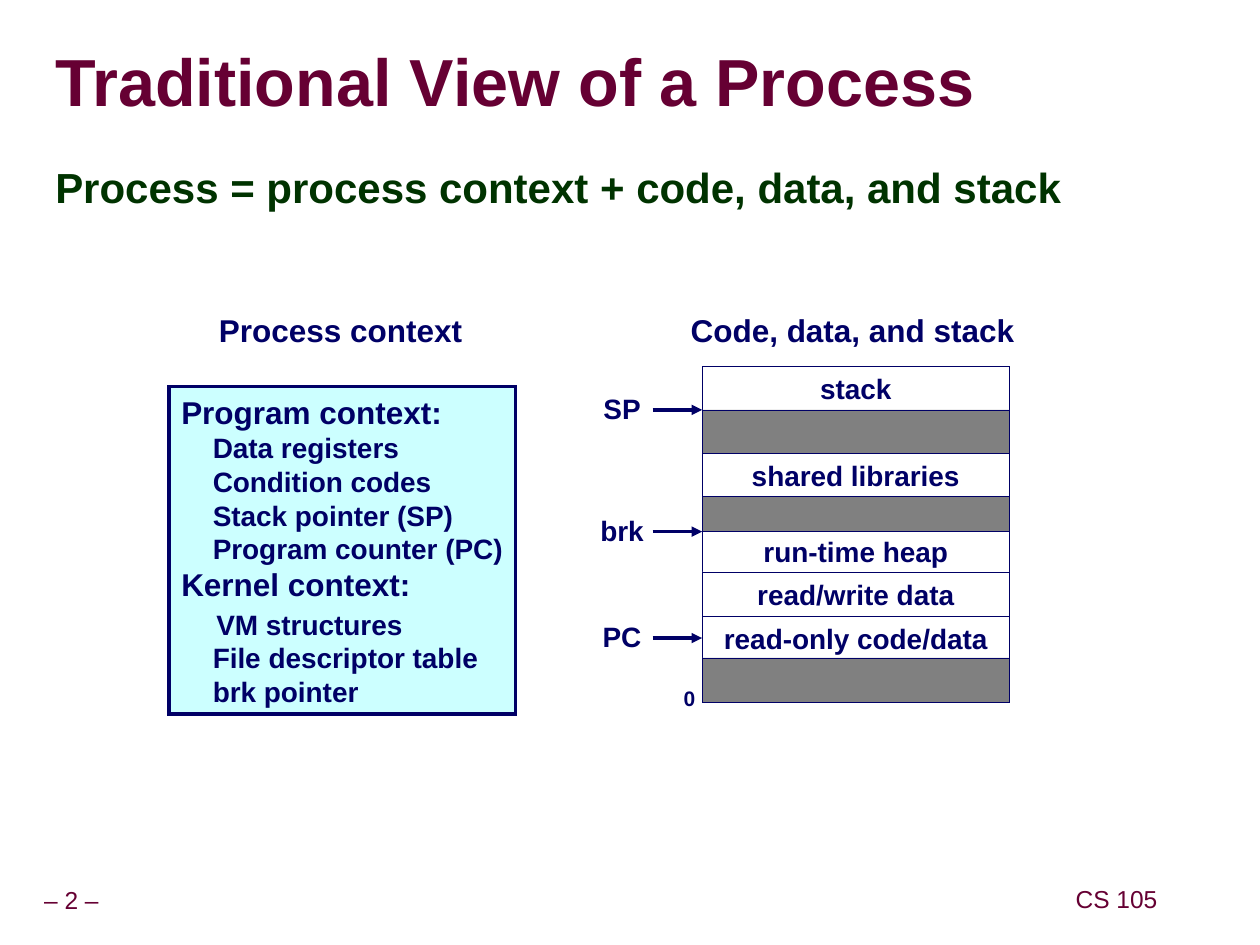
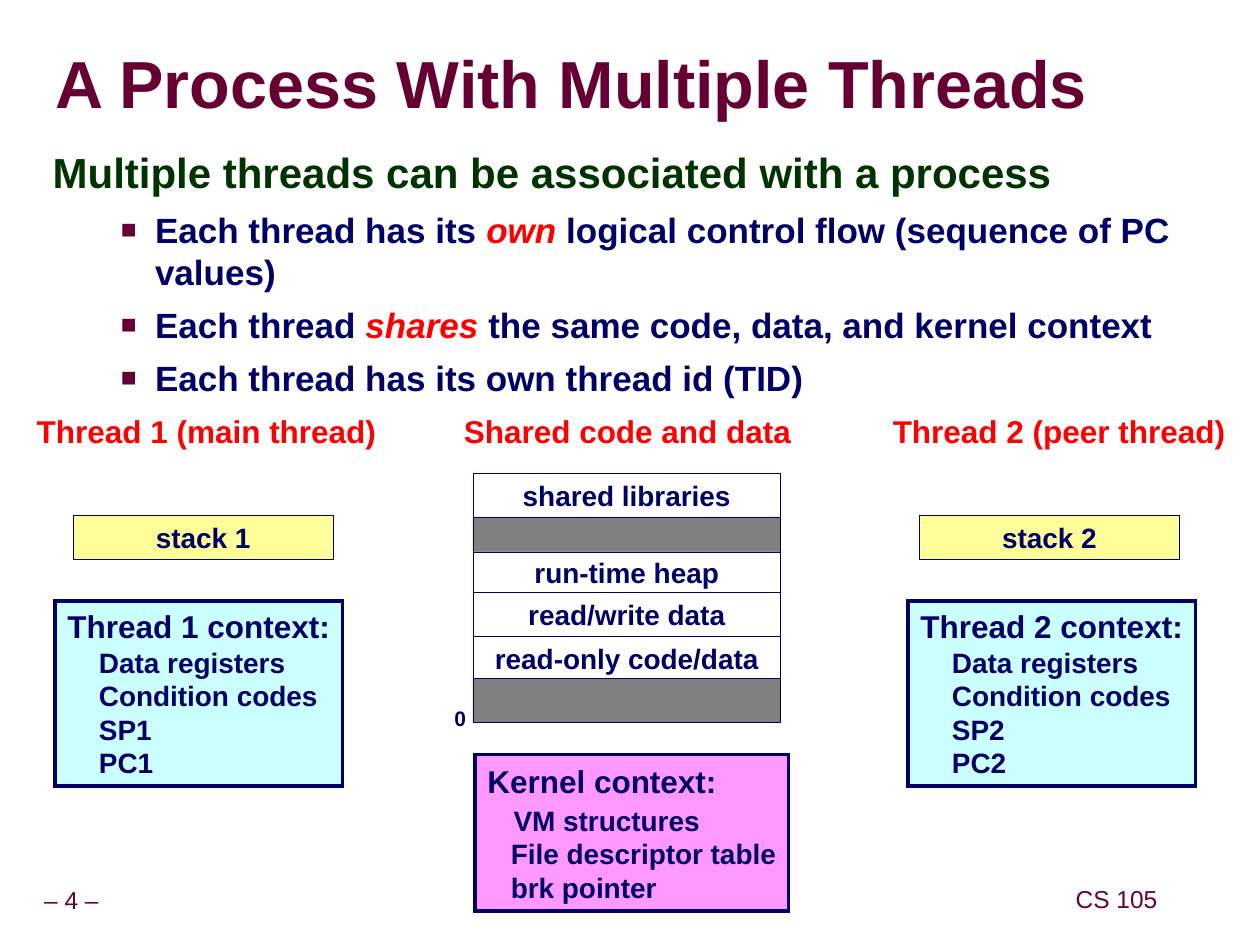
from dataclasses import dataclass
from typing import NamedTuple

from lxml import etree
from pptx import Presentation
from pptx.dml.color import RGBColor
from pptx.enum.shapes import MSO_CONNECTOR, MSO_SHAPE
from pptx.enum.text import MSO_ANCHOR as Anchor, PP_ALIGN as Align
from pptx.oxml.ns import qn
from pptx.util import Pt

COLOURS = {
    "maroon": "660033",
    "green": "003300",
    "navy": "000066",
    "red": "FF0000",
    "white": "FFFFFF",
    "gray": "808080",
    "cyan": "CCFFFF",
    "yellow": "FFFF99",
    "pink": "FF99FF",
}
FONT = "Arial"


class Box(NamedTuple):
    left: float
    top: float
    width: float
    height: float

    def in_points(self) -> tuple:
        return tuple(Pt(length) for length in self)


class Style(NamedTuple):
    size: float
    colour: str = "navy"
    bold: bool = True


TITLE = Style(38, "maroon")
STATEMENT = Style(24, "green")
BULLET = Style(20)
HEADING = Style(18)
RED_HEADING = Style(18, "red")
ITEM = Style(16)
SMALL = Style(12)
FOOTER = Style(14, "maroon", False)


@dataclass
class Segment:
    """One region of memory; an empty label means unused space."""
    label: str
    height: float
    overlap: float = 0


@dataclass
class ContextGroup:
    heading: str
    items: list[str]
    indent: float = 18
    first_indent: float = 18
    first_gap: float = 0


@dataclass
class Thread:
    number: int
    role: str
    heading_left: float
    stack_left: float
    context_left: float


STACK_AREA = [Segment("stack", 24.8), Segment("", 24.8)]
SHARED_AREA = [
    Segment("shared libraries", 24.8),
    Segment("", 20),
    Segment("run-time heap", 23),
    Segment("read/write data", 25.2),
    Segment("read-only code/data", 25.2, overlap=1.2),
    Segment("", 25.2),
]
MAP_WIDTH = 175.7
KERNEL_ITEMS = ["VM structures", "File descriptor table", "brk pointer"]
THREADS = [
    Thread(1, "main", 13, 41.8, 31.5),
    Thread(2, "peer", 500.2, 525.4, 518.9),
]
THREAD_FACTS = [
    ("Each thread has its ", "own", " logical control flow (sequence of PC values)"),
    ("Each thread ", "shares", " the same code, data, and kernel context"),
    ("Each thread has its own thread id (TID)", "", ""),
]


def rgb(colour: str) -> RGBColor:
    return RGBColor.from_string(COLOURS[colour])


def set_font(paragraph, style: Style) -> None:
    font = paragraph.font
    font.name = FONT
    font.size = Pt(style.size)
    font.bold = style.bold
    font.color.rgb = rgb(style.colour)


def set_indent(paragraph, left: float, first: float = 0) -> None:
    properties = paragraph._p.get_or_add_pPr()
    properties.set("marL", str(Pt(left)))
    properties.set("indent", str(Pt(first)))


def add_bullet_mark(paragraph) -> None:
    properties = paragraph._p.get_or_add_pPr()
    mark_colour = etree.SubElement(properties, qn("a:buClr"))
    etree.SubElement(mark_colour, qn("a:srgbClr"), val=COLOURS["maroon"])
    etree.SubElement(properties, qn("a:buSzPct"), val="75000")
    etree.SubElement(properties, qn("a:buFont"), typeface=FONT)
    etree.SubElement(properties, qn("a:buChar"), char="■")


def set_margins(frame, horizontal: float, vertical: float) -> None:
    frame.margin_left = frame.margin_right = Pt(horizontal)
    frame.margin_top = frame.margin_bottom = Pt(vertical)


def add_text(slide, box: Box, text: str, style: Style, align=Align.CENTER,
             anchor=Anchor.MIDDLE, margins=(7.2, 3.6), spacing=1.0, wrap=False):
    frame = slide.shapes.add_textbox(*box.in_points()).text_frame
    frame.word_wrap = wrap
    frame.vertical_anchor = anchor
    set_margins(frame, *margins)
    paragraph = frame.paragraphs[0]
    paragraph.text = text
    paragraph.alignment = align
    paragraph.line_spacing = spacing
    set_font(paragraph, style)
    return frame


def draw_line(shape, width: float) -> etree._Element:
    """Give a shape or connector a navy line and return its XML element."""
    shape.line.color.rgb = rgb("navy")
    shape.line.width = Pt(width)
    line = shape._element.spPr.find(qn("a:ln"))
    etree.SubElement(line, qn("a:miter"), lim="800000")
    return line


def add_block(slide, box: Box, fill: str, line_width: float = 0.25, label: str = ""):
    block = slide.shapes.add_shape(MSO_SHAPE.RECTANGLE, *box.in_points())
    block.shadow.inherit = False
    block.fill.solid()
    block.fill.fore_color.rgb = rgb(fill)
    draw_line(block, line_width)
    frame = block.text_frame
    frame.word_wrap = False
    frame.vertical_anchor = Anchor.MIDDLE
    set_margins(frame, 7.2, 3.6)
    if label:
        frame.text = label
        frame.paragraphs[0].alignment = Align.CENTER
        set_font(frame.paragraphs[0], ITEM)
    return block


def add_context(slide, box: Box, fill: str, groups: list[ContextGroup]) -> None:
    frame = add_block(slide, box, fill, line_width=2).text_frame

    def add_line(text: str, style: Style, indent: float, gap: float) -> None:
        first = frame.paragraphs[0]
        paragraph = frame.add_paragraph() if first.runs else first
        paragraph.text = text
        paragraph.alignment = Align.LEFT
        set_indent(paragraph, indent)
        if gap:
            paragraph.space_before = Pt(gap)
        set_font(paragraph, style)

    for group in groups:
        add_line(group.heading, HEADING, 0, 0)
        for index, item in enumerate(group.items):
            if index == 0:
                add_line(item, ITEM, group.first_indent, group.first_gap)
            else:
                add_line(item, ITEM, group.indent, 0)


def add_memory_map(slide, left: float, top: float, segments: list[Segment]) -> dict:
    """Stack the segments downwards and return the labelled blocks by label."""
    blocks = {}
    for segment in segments:
        box = Box(left, top, MAP_WIDTH, segment.height)
        fill = "white" if segment.label else "gray"
        block = add_block(slide, box, fill, label=segment.label)
        if segment.label:
            blocks[segment.label] = block
        top += segment.height - segment.overlap
    add_text(slide, Box(left - 17.7, top - 13.1, 21, 21.6), "0", SMALL,
             align=Align.LEFT, anchor=Anchor.TOP)
    return blocks


def add_pointer(slide, label: str, y: float, target=None) -> None:
    """Draw a register name and its arrow, joined to the target if there is one."""
    add_text(slide, Box(330.5, y - 14, 50, 26.6), label, ITEM)
    arrow = slide.shapes.add_connector(
        MSO_CONNECTOR.STRAIGHT, Pt(373), Pt(y), Pt(401.2), Pt(y))
    if target is not None:
        arrow.end_connect(target, 1)
    line = draw_line(arrow, 2)
    etree.SubElement(line, qn("a:tailEnd"), type="triangle")
    etree.SubElement(arrow._element.spPr, qn("a:effectLst"))


def start_slide(deck, number: int, title: str, title_height: float):
    slide = deck.slides.add_slide(deck.slide_layouts[6])
    footers = [(Box(0, 504, 81.6, 22.3), f"– {number} –"),
               (Box(603, 503.3, 70, 22.3), "CS 105")]
    for box, text in footers:
        add_text(slide, box, text, FOOTER, margins=(3.6, 3.6), spacing=0.9)
    add_text(slide, Box(31.7, 19.4, 620, title_height), title, TITLE,
             align=Align.LEFT, margins=(0, 0), spacing=0.87, wrap=True)
    return slide


def add_statement(slide, box: Box, text: str):
    return add_text(slide, box, text, STATEMENT, align=Align.LEFT,
                    anchor=Anchor.TOP, spacing=0.95, wrap=True)


def add_fact(frame, before: str, stressed: str, after: str) -> None:
    paragraph = frame.add_paragraph()
    set_indent(paragraph, 58.5, -19.5)
    add_bullet_mark(paragraph)
    paragraph.space_before = Pt(6.2)
    for text in filter(None, (before, stressed, after)):
        run = paragraph.add_run()
        run.text = text
        if text == stressed:
            run.font.italic = True
            run.font.color.rgb = rgb("red")
    set_font(paragraph, BULLET)


def build_process_view(deck) -> None:
    slide = start_slide(deck, 2, "Traditional View of a Process", 59)
    add_statement(slide, Box(24.5, 90.7, 654.5, 411),
                  "Process = process context + code, data, and stack")

    add_text(slide, Box(114.7, 174.2, 160, 28.8), "Process context", HEADING)
    add_context(slide, Box(96.5, 221, 198, 187.2), "cyan", [
        ContextGroup("Program context:", [
            "Data registers", "Condition codes",
            "Stack pointer (SP)", "Program counter (PC)"]),
        ContextGroup("Kernel context:", KERNEL_ITEMS,
                     first_indent=20, first_gap=2.3),
    ])

    add_text(slide, Box(382.2, 174.2, 210, 28.8), "Code, data, and stack", HEADING)
    regions = add_memory_map(slide, 401.2, 209.4, STACK_AREA + SHARED_AREA)
    stack = regions["stack"]
    code = regions["read-only code/data"]
    add_pointer(slide, "SP", (stack.top + stack.height) / Pt(1))
    add_pointer(slide, "brk", regions["run-time heap"].top / Pt(1))
    add_pointer(slide, "PC", (code.top + code.height / 2) / Pt(1), code)


def build_threads_view(deck) -> None:
    slide = start_slide(deck, 4, "A Process With Multiple Threads", 61.2)
    facts = add_statement(slide, Box(23, 82.1, 654.5, 431),
                          "Multiple threads can be associated with a process")
    for fact in THREAD_FACTS:
        add_fact(facts, *fact)

    add_text(slide, Box(253.6, 231.8, 210, 28.8), "Shared code and data", RED_HEADING)
    add_memory_map(slide, 270.3, 270.6, SHARED_AREA)
    add_context(slide, Box(271.4, 431.3, 179.3, 89.3), "pink", [
        ContextGroup("Kernel context:", KERNEL_ITEMS,
                     indent=13.4, first_indent=15, first_gap=2.3)])

    for thread in THREADS:
        n = thread.number
        add_text(slide, Box(thread.heading_left, 231.8, 210, 28.8),
                 f"Thread {n} ({thread.role} thread)", RED_HEADING)
        add_block(slide, Box(thread.stack_left, 294.5, 148.5, 25.2), "yellow",
                  label=f"stack {n}")
        add_context(slide, Box(thread.context_left, 343.4, 164.3, 105.8), "cyan", [
            ContextGroup(f"Thread {n} context:", [
                "Data registers", "Condition codes", f"SP{n}", f"PC{n}"])])


def main() -> None:
    deck = Presentation()
    deck.slide_width, deck.slide_height = Pt(720), Pt(540)
    build_process_view(deck)
    build_threads_view(deck)
    deck.save("out.pptx")


if __name__ == "__main__":
    main()
